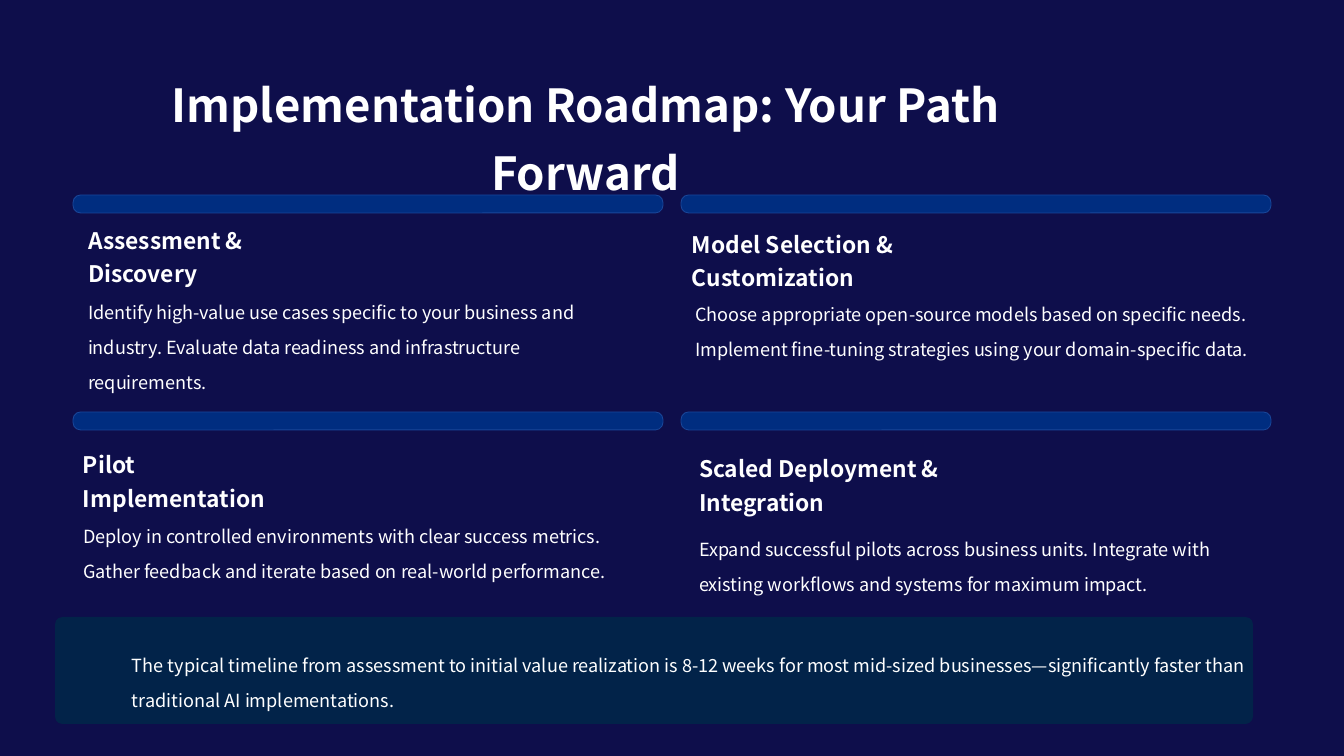
from dataclasses import dataclass

from pptx import Presentation
from pptx.dml.color import RGBColor
from pptx.enum.shapes import MSO_SHAPE as Preset
from pptx.enum.text import MSO_ANCHOR as Anchor, MSO_AUTO_SIZE as AutoSize
from pptx.util import Emu, Pt

SCALE = 914400 // 84


@dataclass(frozen=True)
class Theme:
    """Colours, font and type sizes of the slide."""
    font: str = "Noto Sans CJK SC"
    background: str = "0E0E4B"
    text: str = "FFFFFF"
    bar: str = "002D80"
    bar_line: str = "194699"
    callout: str = "022349"
    title_size: float = 39
    heading_size: float = 19.5
    body_size: float = 15.5
    title_spacing: float = 1.24
    heading_spacing: float = 1.23
    body_spacing: float = 1.61


THEME = Theme()
COLUMNS = (73, 681)
ROWS = (195, 412)
PHASES = (
    ("Assessment & Discovery", (88, 220, 267),
     "Identify high-value use cases specific to your business and industry. "
     "Evaluate data readiness and infrastructure requirements.", (88, 288)),
    ("Model Selection & Customization", (692, 224, 366),
     "Choose appropriate open-source models based on specific needs. "
     "Implement fine-tuning strategies using your domain-specific data.", (695, 290)),
    ("Pilot Implementation", (83, 445, 238),
     "Deploy in controlled environments with clear success metrics. "
     "Gather feedback and iterate based on real-world performance.", (83, 512)),
    ("Scaled Deployment & Integration", (699, 449, 368),
     "Expand successful pilots across business units. Integrate with "
     "existing workflows and systems for maximum impact.", (699, 525)),
)
TIMELINE = ("The typical timeline from assessment to initial value realization is "
            "8-12 weeks for most mid-sized businesses—significantly faster than "
            "traditional AI implementations.")


def px(*lengths):
    """Turn pixel lengths into EMU."""
    return [Emu(length * SCALE) for length in lengths]


def write(shape, text, *, size=THEME.body_size, spacing=THEME.body_spacing, bold=False):
    """Put formatted text into a shape without insets."""
    frame = shape.text_frame
    frame.word_wrap = True
    frame.auto_size = AutoSize.NONE
    frame.vertical_anchor = Anchor.TOP
    frame.margin_left = frame.margin_top = frame.margin_right = frame.margin_bottom = 0
    frame.text = text
    paragraph = frame.paragraphs[0]
    paragraph.line_spacing = spacing
    paragraph.space_before = Pt(0)
    font = paragraph.runs[0].font
    font.name, font.size, font.bold = THEME.font, Pt(size), bold
    font.color.rgb = RGBColor.from_string(THEME.text)


def add_title(slide, text):
    """Place and fill the title placeholder."""
    title = slide.shapes.title
    title.left, title.top, title.width, title.height = px(73, 64, 1025, 57)
    write(title, text, size=THEME.title_size, spacing=THEME.title_spacing, bold=True)


def add_text(slide, text, box, **text_format):
    """Add a text box with formatted text."""
    write(slide.shapes.add_textbox(*px(*box)), text, **text_format)


def add_panel(slide, box, radius, fill, line=None):
    """Add a flat rounded rectangle."""
    shape = slide.shapes.add_shape(Preset.ROUNDED_RECTANGLE, *px(*box))
    shape.shadow.inherit = False
    shape.adjustments[0] = radius
    shape.fill.solid()
    shape.fill.fore_color.rgb = RGBColor.from_string(fill)
    if line:
        shape.line.color.rgb = RGBColor.from_string(line)
        shape.line.width = Pt(0.75)
    else:
        shape.line.fill.background()


def add_phase(slide, index, heading, heading_box, body, body_corner):
    """Add the bar, heading and description of one phase."""
    row, column = divmod(index, len(COLUMNS))
    add_panel(slide, (COLUMNS[column], ROWS[row], 590, 18), 0.42, THEME.bar, THEME.bar_line)
    add_text(slide, heading, (*heading_box, 29), size=THEME.heading_size,
             spacing=THEME.heading_spacing, bold=True)
    add_text(slide, body, (*body_corner, 554, 87 if row == 0 else 58))


def main():
    """Build and save the roadmap slide."""
    presentation = Presentation()
    presentation.slide_width, presentation.slide_height = px(1344, 756)
    slide = presentation.slides.add_slide(presentation.slide_layouts[5])
    slide.background.fill.solid()
    slide.background.fill.fore_color.rgb = RGBColor.from_string(THEME.background)
    add_title(slide, "Implementation Roadmap: Your Path Forward")
    for index, phase in enumerate(PHASES):
        add_phase(slide, index, *phase)
    add_panel(slide, (55, 617, 1198, 107), 0.07, THEME.callout)
    add_text(slide, TIMELINE, (132, 641, 1121, 58))
    presentation.save("out.pptx")


if __name__ == "__main__":
    main()
